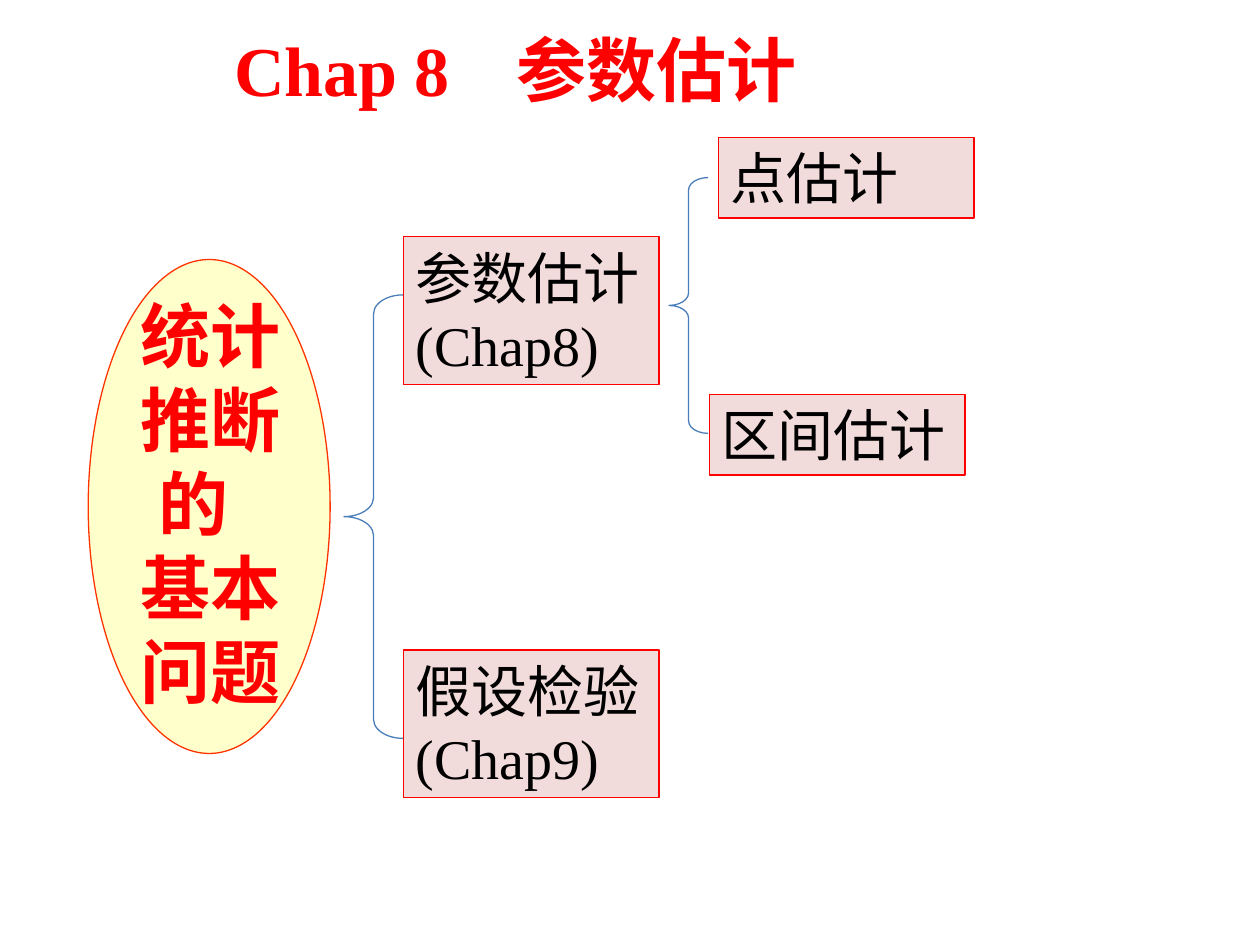
from pptx import Presentation
from pptx.dml.color import RGBColor
from pptx.enum.shapes import MSO_SHAPE
from pptx.enum.text import MSO_ANCHOR, MSO_AUTO_SIZE, PP_ALIGN
from pptx.oxml import parse_xml
from pptx.oxml.ns import nsdecls
from pptx.util import Inches, Pt

ELLIPSE = MSO_SHAPE.OVAL
RECTANGLE = MSO_SHAPE.RECTANGLE
LEFT_BRACE = MSO_SHAPE.LEFT_BRACE
TOP = MSO_ANCHOR.TOP
LEFT = PP_ALIGN.LEFT
GROW = MSO_AUTO_SIZE.SHAPE_TO_FIT_TEXT

FONT = "Times New Roman"
RED = "FF0000"
BLACK = "000000"
TITLE = "Chap 8\t参数估计"
TITLE_TAB = 2.24
TOPIC = ["统计", "推断", "的", "基本", "问题"]
TOPIC_INDENTS = {"的": 0.14}
BOX_WIDTH = 2.03
BOXES = [
    ("假设检验(Chap9)", 3.2, 5.16, 1.17),
    ("参数估计(Chap8)", 3.2, 1.88, 1.17),
    ("点估计", 5.7, 1.09, 0.64),
    ("区间估计", 5.63, 3.13, 0.64),
]
BRACES = [(2.73, 2.34, 0.47, 3.52), (5.31, 1.41, 0.31, 2.03)]
BRACE_CURVE = 0.32


def color(value):
    return RGBColor.from_string(value)


def add_shape(slide, kind, bounds, fill, line):
    shape = slide.shapes.add_shape(kind, *map(Inches, bounds))
    shape.shadow.inherit = False
    if fill:
        shape.fill.solid()
        shape.fill.fore_color.rgb = color(fill)
    else:
        shape.fill.background()
    shape.line.color.rgb = color(line)
    shape.line.width = Pt(0.75)
    return shape


def write(shape, text, size, font_color, bold, wrap):
    frame = shape.text_frame
    frame.text = text
    frame.word_wrap = wrap
    frame.auto_size = GROW
    frame.vertical_anchor = TOP
    for paragraph in frame.paragraphs:
        paragraph.alignment = LEFT
        for run in paragraph.runs:
            run.font.name = FONT
            run.font.size = Pt(size)
            run.font.bold = bold
            run.font.color.rgb = color(font_color)
    return frame.paragraphs


def add_heading(slide, text, bounds):
    box = slide.shapes.add_textbox(*map(Inches, bounds))
    return write(box, text, 40, RED, True, False)


def main():
    presentation = Presentation()
    presentation.slide_width = Inches(10)
    presentation.slide_height = Inches(7.5)
    slide = presentation.slides.add_slide(presentation.slide_layouts[6])

    title = add_heading(slide, TITLE, (1.76, 0.16, 4.68, 0.77))[0]
    title._p.get_or_add_pPr().append(parse_xml(
        f'<a:tabLst {nsdecls("a")}><a:tab pos="{Inches(TITLE_TAB)}" algn="l"/></a:tabLst>'))

    add_shape(slide, ELLIPSE, (0.7, 2.06, 1.92, 3.92), "FFFFCC", "FF3300")
    for paragraph in add_heading(slide, "\n".join(TOPIC), (1.02, 2.27, 1.31, 3.44)):
        indent = TOPIC_INDENTS.get(paragraph.text)
        if indent:
            paragraph._p.get_or_add_pPr().set("marL", str(Inches(indent)))

    for bounds in BRACES:
        brace = add_shape(slide, LEFT_BRACE, bounds, None, "4A7EBB")
        brace.adjustments[0] = BRACE_CURVE

    for text, left, top, height in BOXES:
        box = add_shape(slide, RECTANGLE, (left, top, BOX_WIDTH, height), "F2DCDB", RED)
        write(box, text, 32, BLACK, False, True)

    presentation.save("out.pptx")


if __name__ == "__main__":
    main()
